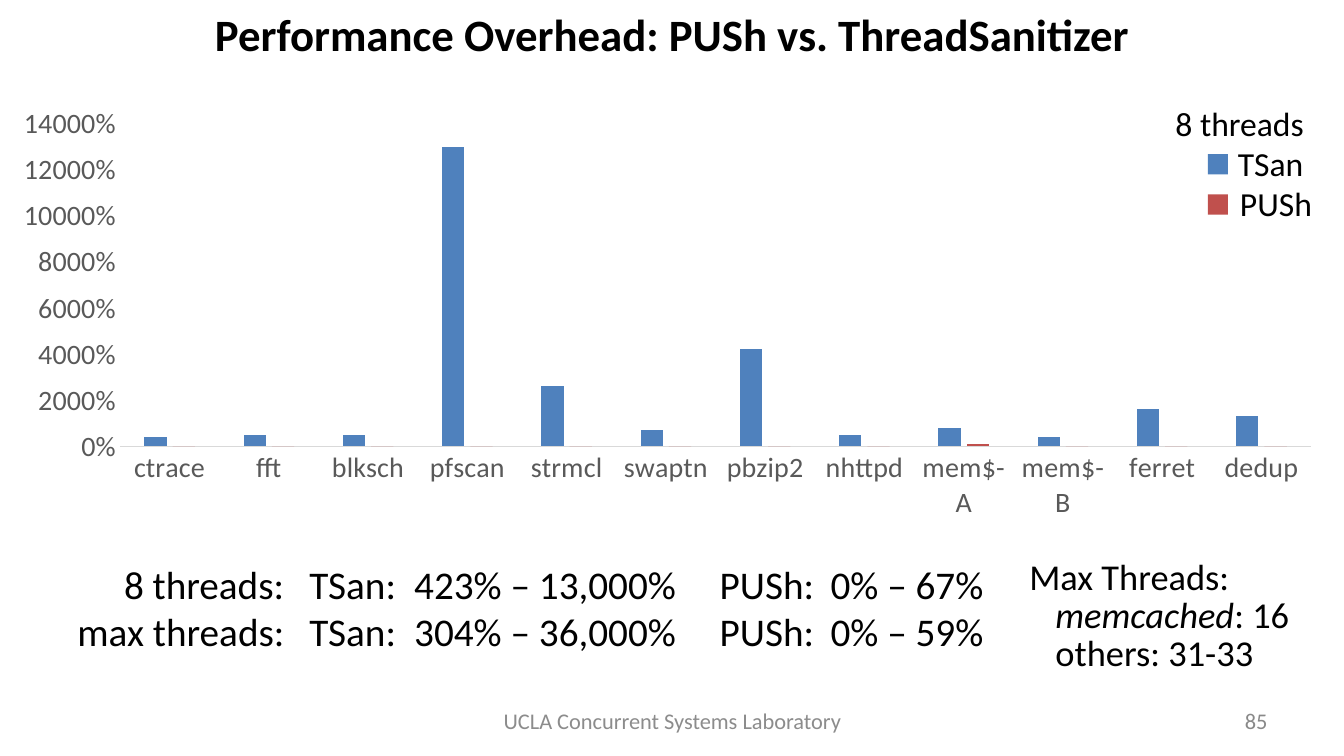
import pptx
import pptx.chart.data
import pptx.dml.color
import pptx.enum.chart
import pptx.enum.shapes
import pptx.enum.text
import pptx.oxml
import pptx.oxml.ns
import pptx.util
from pptx.util import Inches, Pt

ALIGN = pptx.enum.text.PP_ALIGN
MIDDLE = pptx.enum.text.MSO_ANCHOR.MIDDLE
TOP = pptx.enum.text.MSO_ANCHOR.TOP
BLUE, RED = "4F81BD", "C0504D"


def color(code):
    return pptx.dml.color.RGBColor.from_string(code)


def write(left, top, width, height, lines, size, ink="000000",
          align=ALIGN.LEFT, anchor=TOP, bold=False, tabs=(), pitch=None):
    box = slide.shapes.add_textbox(
        Inches(left), Inches(top), Inches(width), Inches(height))
    frame = box.text_frame
    frame.word_wrap = True
    frame.vertical_anchor = anchor
    for i, line in enumerate(lines):
        para = frame.add_paragraph() if i else frame.paragraphs[0]
        para.text = line
        para.alignment = align
        if pitch:
            para.line_spacing = Pt(pitch)
        if tabs:
            stops = "".join(f'<a:tab pos="{Inches(at)}" algn="{kind}"/>'
                            for at, kind in tabs)
            space = pptx.oxml.ns.nsdecls("a")
            para._p.get_or_add_pPr().append(
                pptx.oxml.parse_xml(f"<a:tabLst {space}>{stops}</a:tabLst>"))
        font = para.font
        font.name, font.size, font.bold = "Calibri", Pt(size), bold
        font.color.rgb = color(ink)
    return frame.paragraphs


deck = pptx.Presentation()
deck.slide_width, deck.slide_height = Inches(13.33), Inches(7.5)
slide = deck.slides.add_slide(deck.slide_layouts[6])

# Chart
data = pptx.chart.data.CategoryChartData(number_format="0%")
data.categories = ["ctrace", "fft", "blksch", "pfscan", "strmcl", "swaptn",
                   "pbzip2", "nhttpd", "mem$-A", "mem$-B", "ferret", "dedup"]
data.add_series("Series 1", [4, 5, 5, 130, 26, 7, 42, 5, 8, 4, 16, 13])
data.add_series("Series 2", [0, 0, 0, 0, 0, 0, 0, 0, 1, 0, 0, 0])
chart = slide.shapes.add_chart(
    pptx.enum.chart.XL_CHART_TYPE.COLUMN_CLUSTERED,
    Inches(-0.03), Inches(0.97), Inches(13.3), Inches(4.27), data).chart
chart.has_legend = False
chart.has_title = False
chart.font.name, chart.font.size = "Calibri", Pt(10)
plot = chart.plots[0]
plot.gap_width, plot.overlap = 219, -27
plot.vary_by_categories = False
for series, code in zip(plot.series, (BLUE, RED)):
    series.format.fill.solid()
    series.format.fill.fore_color.rgb = color(code)
    series.invert_if_negative = False

# Axes
for axis in (chart.category_axis, chart.value_axis):
    axis.has_major_gridlines = False
    axis.major_tick_mark = pptx.enum.chart.XL_TICK_MARK.NONE
    axis.minor_tick_mark = pptx.enum.chart.XL_TICK_MARK.NONE
    font = axis.tick_labels.font
    font.name, font.size = "Calibri", Pt(20)
    font.color.rgb = color("595959")
base = chart.category_axis.format.line
base.color.rgb = color("D9D9D9")
base.width = Pt(0.75)
scale = chart.value_axis
scale.format.line.fill.background()
scale.minimum_scale, scale.maximum_scale, scale.major_unit = 0, 140, 20
scale.tick_labels.number_format = "0%"
scale.tick_labels.number_format_is_linked = False

# Title and footer
write(1.91, -0.09, 9.52, 0.84,
      ["Performance Overhead: PUSh vs. ThreadSanitizer"], 32,
      align=ALIGN.CENTER, anchor=MIDDLE, bold=True)
write(4.56, 6.95, 4.22, 0.4, ["UCLA Concurrent Systems Laboratory"], 16,
      "8C8C8C", ALIGN.CENTER, MIDDLE)
write(9.56, 6.95, 3.11, 0.4, ["85"], 16, "898989", ALIGN.RIGHT, MIDDLE)

# Legend
write(11.56, 0.97, 1.75, 0.5, ["8 threads"], 24)
for row, (name, code, left) in enumerate(
        [("TSan", BLUE, 12.18), ("PUSh", RED, 12.2)]):
    top = 1.37 + 0.4 * row
    key = slide.shapes.add_shape(
        pptx.enum.shapes.MSO_SHAPE.RECTANGLE,
        Inches(11.98), Inches(top + 0.16), Inches(0.2), Inches(0.2))
    key.shadow.inherit = False
    key.fill.solid()
    key.fill.fore_color.rgb = color(code)
    key.line.fill.background()
    write(left, top, 0.96, 0.5, [name], 24)

# Overhead ranges, set in columns by tab stops
write(0.67, 5.51, 10.17, 1.04,
      ["\t8 threads:\tTSan:\t423% – 13,000%\tPUSh:\t0% – 67%",
       "\tmax threads:\tTSan:\t304% – 36,000%\tPUSh:\t0% – 59%"], 28,
      tabs=[(2.05, "r"), (2.3, "l"), (3.34, "l"), (6.37, "l"), (7.47, "l")])

# Thread counts
notes = write(10.11, 5.51, 2.82, 1.24,
              ["Max Threads:", "memcached", "others: 31-33"], 26, pitch=27)
notes[1].runs[0].font.italic = True
notes[1].add_run().text = ": 16"
for para in notes[1:]:
    para.level = 1
    para._p.get_or_add_pPr().set("marL", str(Inches(0.26)))
    para._p.get_or_add_pPr().set("indent", "0")

deck.save("out.pptx")
